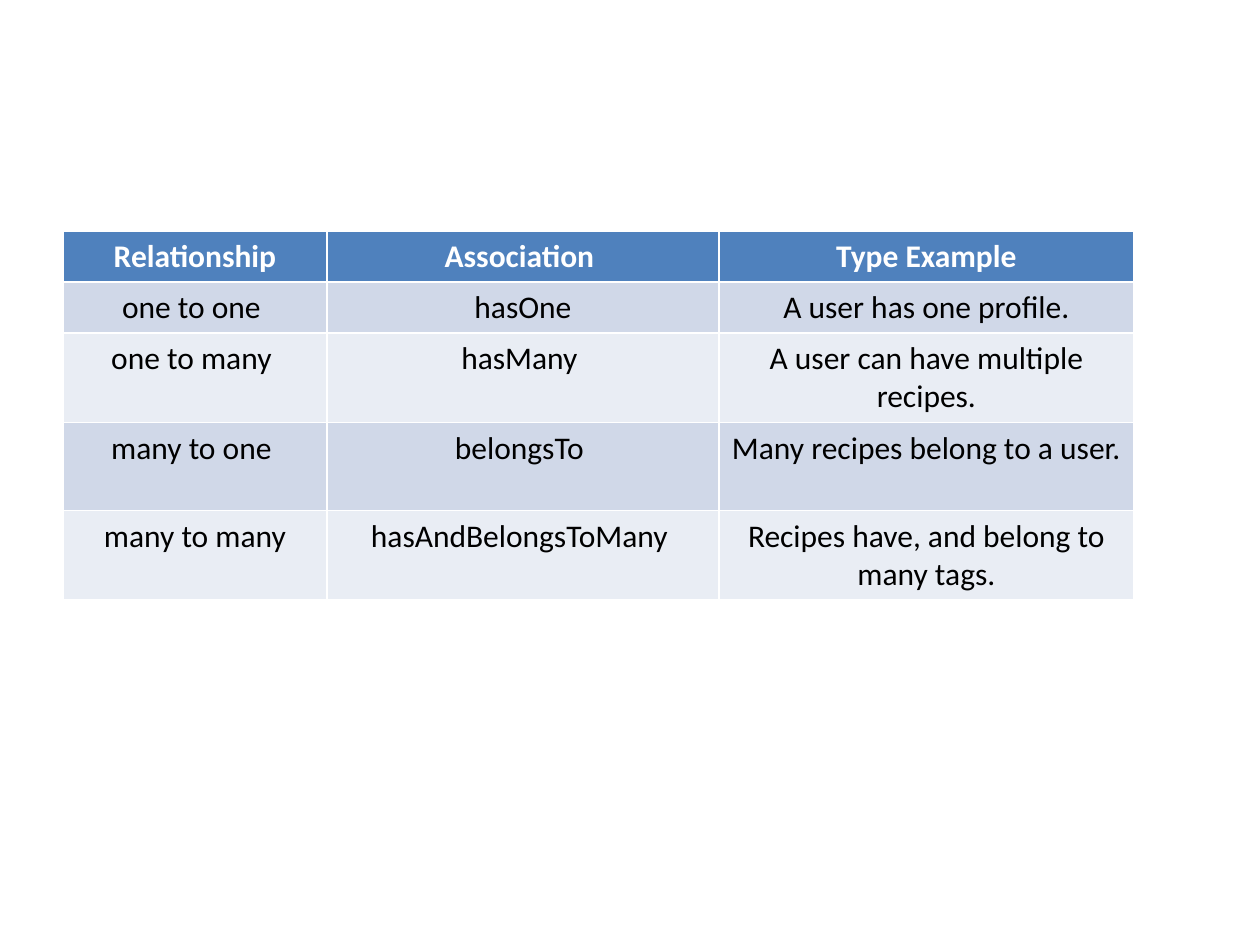
from pptx import Presentation
from pptx.dml.color import RGBColor
from pptx.enum.text import PP_ALIGN
from pptx.util import Pt

CENTER = PP_ALIGN.CENTER
PX = 914400 // 126
COLORS = {"header": "4F81BD", "odd": "D0D8E8", "even": "E9EDF4",
          "header_text": "FFFFFF", "text": "000000"}


def px(n):
    return n * PX


def rgb(name):
    return RGBColor.from_string(COLORS[name])


prs = Presentation()
prs.slide_width, prs.slide_height = px(1260), px(945)
s = prs.slides.add_slide(prs.slide_layouts[6])

# Table content; the trailing spaces belong to the wording
rows = [
    ("Relationship", "Association ", "Type Example"),
    ("one to one ", "hasOne", "A user has one profile."),
    ("one to many ", "hasMany ", "A user can have multiple recipes."),
    ("many to one ", "belongsTo ", "Many recipes belong to a user."),
    ("many to many", "hasAndBelongsToMany ",
     "Recipes have, and belong to many tags."),
]
col_widths = [264, 392, 415]
row_heights = [51, 51, 88, 88, 88]

# Table grid; the default table style draws the white borders
table = s.shapes.add_table(len(rows), len(col_widths), px(63), px(231),
                           px(sum(col_widths)), px(sum(row_heights))).table
for col, width in zip(table.columns, col_widths):
    col.width = px(width)
for row, height in zip(table.rows, row_heights):
    row.height = px(height)

# Cells: header, then alternating bands
for i, texts in enumerate(rows):
    header = i == 0
    fill = "header" if header else ("odd" if i % 2 else "even")
    for j, text in enumerate(texts):
        cell = table.cell(i, j)
        cell.fill.solid()
        cell.fill.fore_color.rgb = rgb(fill)
        p = cell.text_frame.paragraphs[0]
        p.alignment = CENTER
        r = p.add_run()
        r.text = text
        r.font.name = "Calibri"
        r.font.size = Pt(18)
        r.font.bold = header
        r.font.color.rgb = rgb("header_text" if header else "text")

prs.save("out.pptx")
